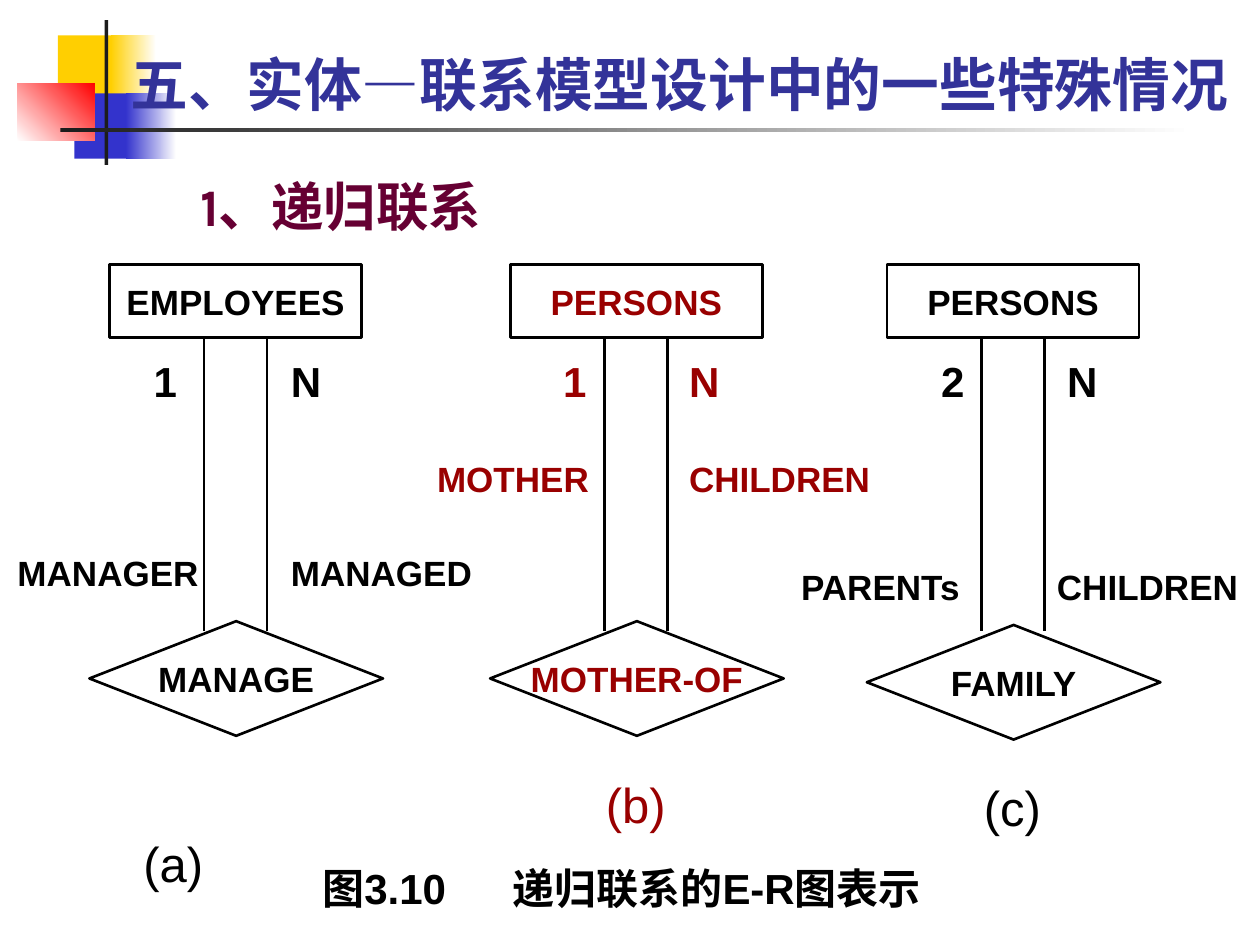
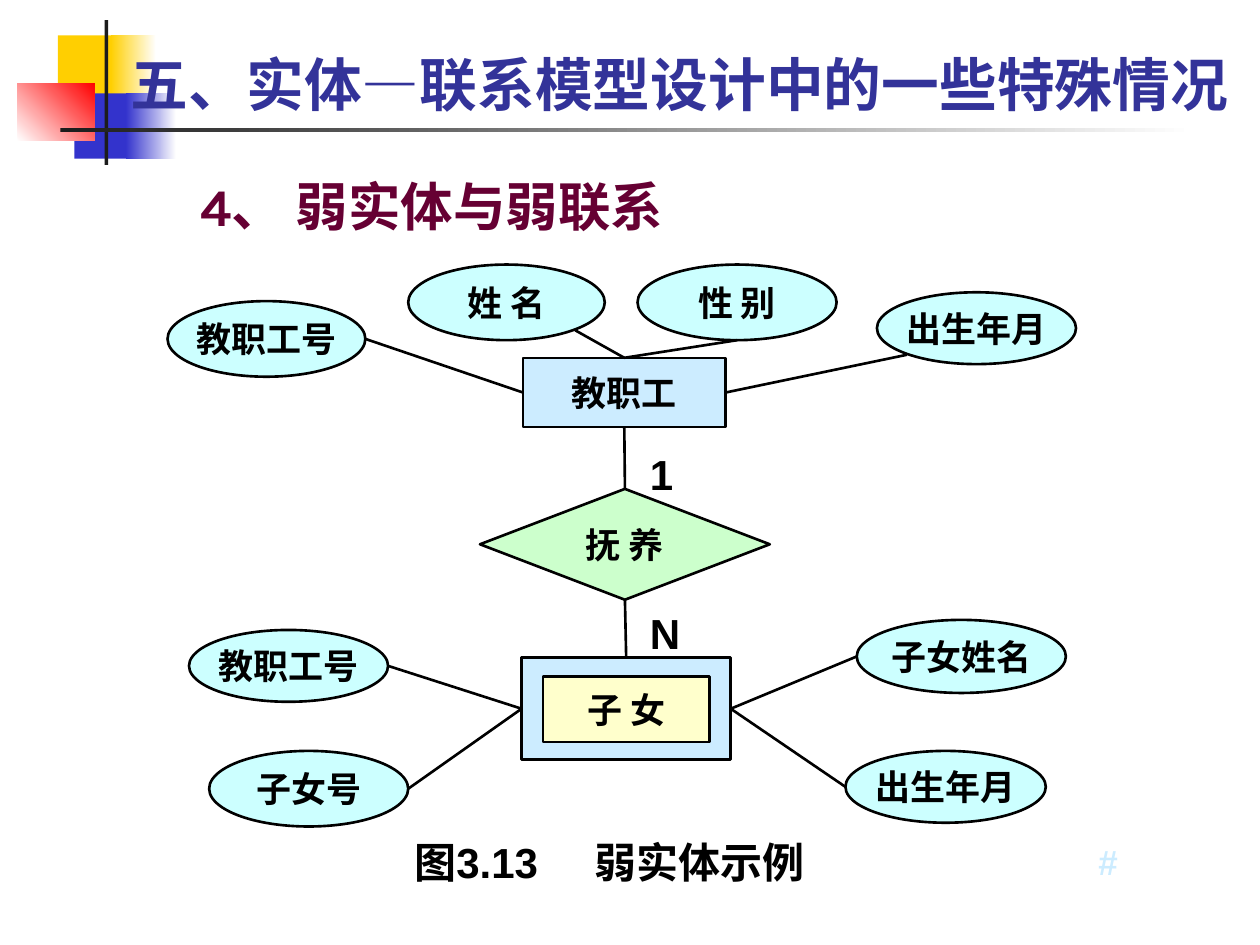
from lxml import etree
from pptx import Presentation
from pptx import util as u
from pptx.dml import color as dml
from pptx.enum import shapes, text
from pptx.oxml import ns

BLACK, RED, SKY, AQUA = "000000", "990000", "CCECFF", "CCFFFF"
RECT = shapes.MSO_SHAPE.RECTANGLE
OVAL = shapes.MSO_SHAPE.OVAL
DIAMOND = shapes.MSO_SHAPE.FLOWCHART_DECISION
STRAIGHT = shapes.MSO_CONNECTOR.STRAIGHT
TOP, LEFT, BOTTOM, RIGHT = range(4)


def rgb(value):
    return dml.RGBColor.from_string(value)


def place(slide, box, runs, geometry=None, fill=None, size=20, color=BLACK,
          font="Arial", bold=True, anchor=text.MSO_ANCHOR.TOP, grow=True):
    area = [u.Inches(v) for v in box]
    if geometry is None:
        part = slide.shapes.add_textbox(*area)
        align = text.PP_ALIGN.LEFT
    else:
        part = slide.shapes.add_shape(geometry, *area)
        part.shadow.inherit = False
        part.line.color.rgb = rgb(BLACK)
        part.line.width = u.Pt(1.5)
        if fill:
            part.fill.solid()
            part.fill.fore_color.rgb = rgb(fill)
        else:
            part.fill.background()
        anchor, align, grow = text.MSO_ANCHOR.MIDDLE, text.PP_ALIGN.CENTER, False
    frame = {
        "word_wrap": geometry is None,
        "auto_size": text.MSO_AUTO_SIZE.SHAPE_TO_FIT_TEXT if grow else text.MSO_AUTO_SIZE.NONE,
        "vertical_anchor": anchor,
    }
    for key, value in frame.items():
        setattr(part.text_frame, key, value)
    paragraph = part.text_frame.paragraphs[0]
    paragraph.alignment = align
    for words, face in [(runs, font)] if isinstance(runs, str) else runs:
        run = paragraph.add_run()
        run.text = words
        for key, value in {"name": face, "size": u.Pt(size), "bold": bold}.items():
            setattr(run.font, key, value)
        run.font.color.rgb = rgb(color)
    return part


prs = Presentation()
prs.slide_width, prs.slide_height = u.Inches(10), u.Inches(7.5)

bands = [
    ((0.46, 0.28, 0.48, 0.52), ["FFCF01"], 0),
    ((0.88, 0.28, 0.36, 0.52), ["FFCF01", "FFFFFF"], 0),
    ((0.59, 0.74, 0.46, 0.52), ["3333CC"], 0),
    ((1, 0.74, 0.4, 0.52), ["3333CC", "FFFFFF"], 0),
    ((0.14, 0.66, 0.61, 0.46), ["FFFFFF", "FF0000"], 45),
    ((0.83, 0.16, 0.03, 1.15), ["1C1C1C"], 0),
    ((0.48, 1.02, 9, 0.03), ["1C1C1C", "FFFFFF"], 0),
]
title = [("五、实体", "Karla"), ("—", "Arial"), ("联系模型设计中的一些特殊情况", "Karla")]
topics = [
    ("1、递归联系", "图3.10\t递归联系的E-R图表示", (2.46, 6.8, 5.3, 0.5), 1.51),
    ("4、 弱实体与弱联系", "图3.13\t弱实体示例", (3.19, 6.59, 3.75, 0.5), 1.43),
]
for heading, caption, caption_box, caption_tab in topics:
    slide = prs.slides.add_slide(prs.slide_layouts[6])
    for box, colors, angle in bands:
        band = slide.shapes.add_shape(RECT, *[u.Inches(v) for v in box])
        band.shadow.inherit = False
        band.line.fill.background()
        if len(colors) == 1:
            band.fill.solid()
            band.fill.fore_color.rgb = rgb(colors[0])
        else:
            band.fill.gradient()
            band.fill.gradient_angle = angle
            for position, (stop, color) in enumerate(zip(band.fill.gradient_stops, colors)):
                stop.position = position
                stop.color.rgb = rgb(color)
    place(slide, (0.94, 0.08, 9.02, 0.91), title, size=33, color="333399",
          anchor=text.MSO_ANCHOR.BOTTOM, grow=False)
    topic = place(slide, (0.51, 1.23, 8.98, 0.75), heading, size=30, color="660033",
                  font="Karla", grow=False).text_frame.paragraphs[0]
    topic.line_spacing = 1.2
    topic._p.get_or_add_pPr().set("marL", str(u.Inches(0.98)))
    figure = place(slide, caption_box, caption, size=24).text_frame.paragraphs[0]
    tabs = etree.SubElement(figure._p.get_or_add_pPr(), ns.qn("a:tabLst"))
    etree.SubElement(tabs, ns.qn("a:tab"), pos=str(u.Inches(caption_tab)), algn="l")

recursive, weak = prs.slides

diagrams = [
    (0.87, 4.93, BLACK, "EMPLOYEES", "MANAGE", "(a)", (1.04, 6.57),
     [("MANAGER", 0.04, 4.33), ("MANAGED", 2.21, 4.33)], [("1", 1.12), ("N", 2.21)]),
    (4.05, 4.93, RED, "PERSONS", "MOTHER-OF", "(b)", (4.71, 6.1),
     [("MOTHER", 3.37, 3.58), ("CHILDREN", 5.37, 3.58)], [("1", 4.37), ("N", 5.37)]),
    (7.04, 4.96, BLACK, "PERSONS", "FAMILY", "(c)", (7.71, 6.12),
     [("PARENTs", 6.26, 4.44), ("CHILDREN", 8.29, 4.44)], [("2", 7.37), ("N", 8.37)]),
]
for left, relation_top, color, entity, relation, letter, letter_at, roles, counts in diagrams:
    place(recursive, (left, 2.1, 2, 0.58), entity, RECT, color=color)
    place(recursive, (left - 0.16, relation_top, 2.33, 0.91), relation, DIAMOND, color=color)
    for offset in (0.75, 1.25):
        x = u.Inches(left + offset)
        recursive.shapes.add_connector(STRAIGHT, x, u.Inches(2.68), x, u.Inches(5.01))
    for role, x, y in roles:
        place(recursive, (x, y, 1.75, 0.43), role, color=color)
    for count, x in counts:
        place(recursive, (x, 2.77, 0.58, 0.5), count, size=24, color=color)
    place(recursive, (*letter_at, 1, 0.57), letter, size=28, color=color, bold=False)

staff = place(weak, (4.15, 2.84, 1.61, 0.55), "教职工", RECT, SKY)
support = place(weak, (3.81, 3.88, 2.3, 0.88), "抚 养", DIAMOND, "CCFFCC")
child = place(weak, (4.14, 5.22, 1.66, 0.81), "", RECT, SKY)
place(weak, (4.31, 5.37, 1.32, 0.52), "子 女", RECT, "FFFFCC")

attributes = [
    ("教职工号", (1.33, 2.39, 1.57, 0.6), (1, 0.5), staff, LEFT),
    ("姓 名", (3.24, 2.1, 1.56, 0.6), (0.85, 0.87), staff, TOP),
    ("性 别", (5.06, 2.1, 1.58, 0.6), (0.5, 1), staff, TOP),
    ("出生年月", (6.96, 2.32, 1.58, 0.57), (0.15, 0.87), staff, RIGHT),
    ("教职工号", (1.5, 5, 1.58, 0.57), (1, 0.5), child, LEFT),
    ("子女号", (1.66, 5.96, 1.58, 0.6), (1, 0.5), child, LEFT),
    ("子女姓名", (6.8, 4.92, 1.66, 0.58), (0, 0.5), child, RIGHT),
    ("出生年月", (6.71, 5.96, 1.59, 0.57), (0, 0.5), child, RIGHT),
]
for attribute, box, (across, down), owner, side in attributes:
    place(weak, box, attribute, OVAL, AQUA)
    x = u.Inches(box[0] + across * box[2])
    y = u.Inches(box[1] + down * box[3])
    weak.shapes.add_connector(STRAIGHT, x, y, x, y).end_connect(owner, side)

for upper, lower, count, y in [(staff, support, "1", 3.51), (support, child, "N", 4.77)]:
    link = weak.shapes.add_connector(STRAIGHT, 0, 0, 0, 0)
    link.begin_connect(upper, BOTTOM)
    link.end_connect(lower, TOP)
    place(weak, (5.06, y, 0.74, 0.5), count, size=24)

place(weak, (8.62, 6.62, 0.94, 0.43), "#", color=SKY, anchor=text.MSO_ANCHOR.BOTTOM)

for slide in prs.slides:
    for link in slide.shapes:
        if link.shape_type == shapes.MSO_SHAPE_TYPE.LINE:
            link.line.color.rgb = rgb(BLACK)
            link.line.width = u.Pt(1.5)
            etree.SubElement(link._element.spPr, ns.qn("a:effectLst"))

prs.save("out.pptx")
